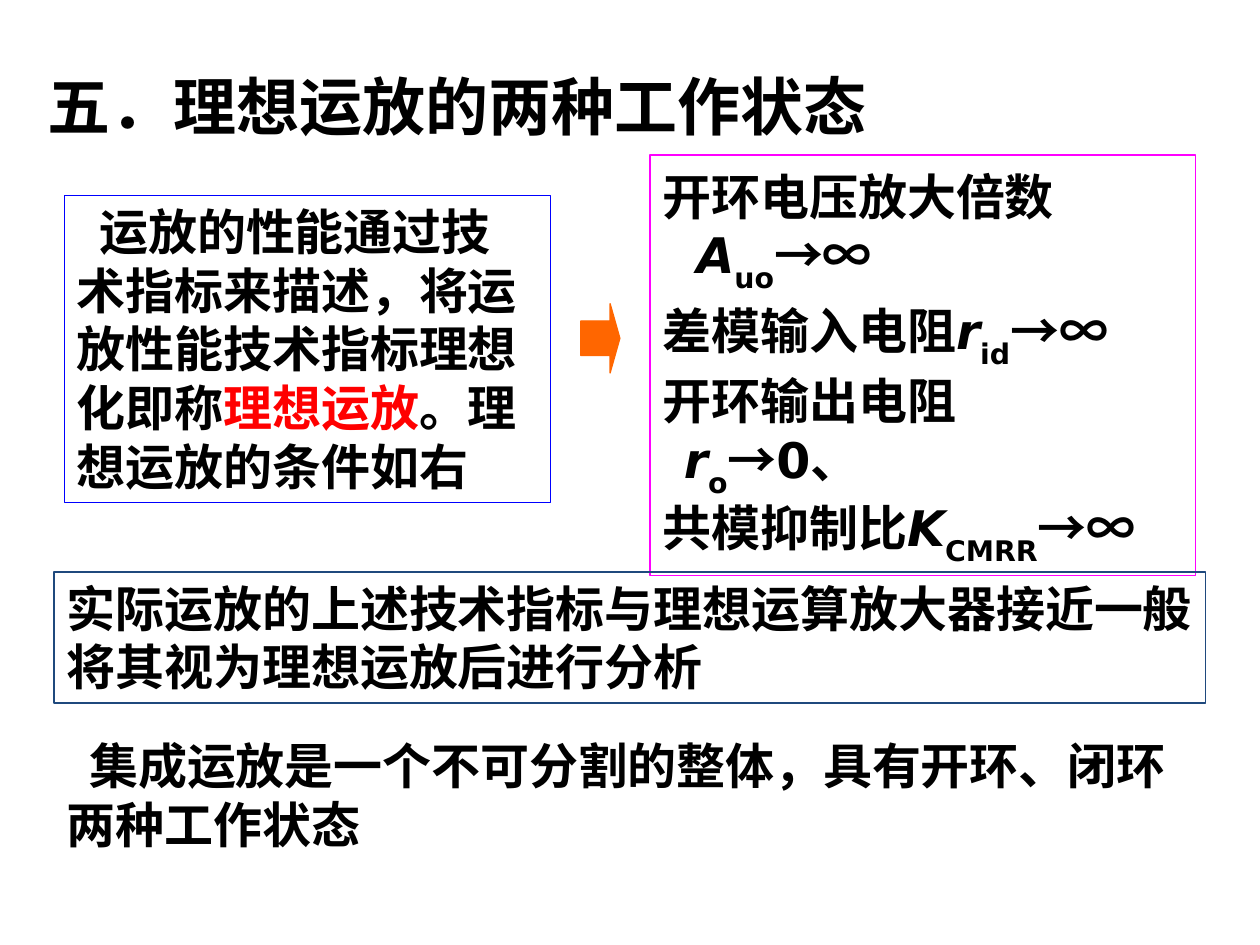
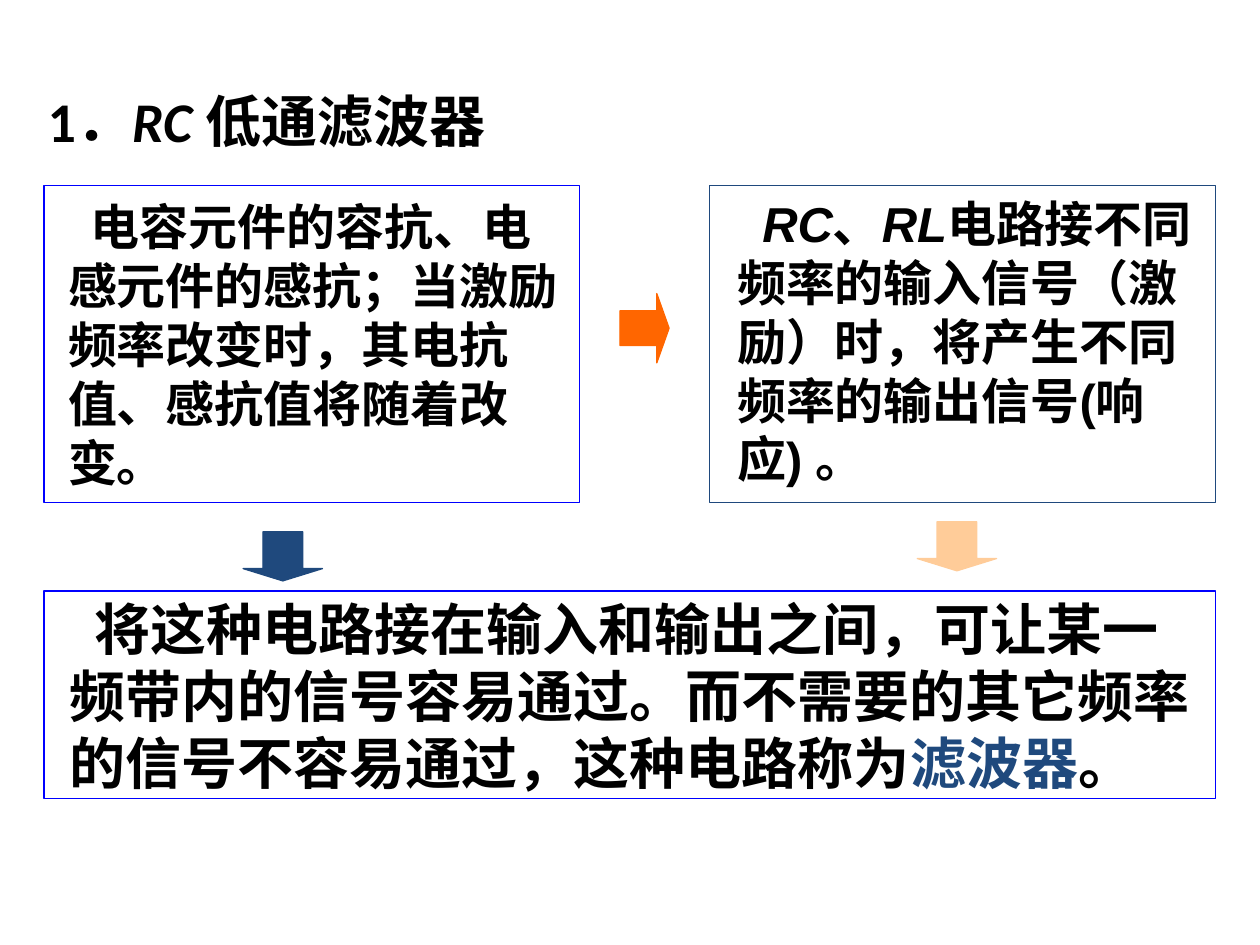
from dataclasses import dataclass

from lxml.etree import SubElement
from pptx import Presentation
from pptx.dml.color import RGBColor
from pptx.enum.shapes import MSO_SHAPE as Shape
from pptx.enum.text import MSO_ANCHOR as Anchor, PP_ALIGN as Align
from pptx.oxml.ns import qn
from pptx.util import Inches, Pt


@dataclass(frozen=True)
class Theme:
    black: str = "000000"
    red: str = "FF0000"
    blue: str = "0000FF"
    navy: str = "1F497D"
    magenta: str = "FF00FF"
    orange: str = "FF6600"
    peach: str = "FFCC99"
    body: int = 28
    large: int = 32
    heading: int = 36
    line_ratio: float = 1.2
    border: float = 0.75
    title_font: str = "Calibri"
    body_font: str = "Arial"
    symbol_font: str = "DejaVu Sans"
    chinese_font: str = "Noto Sans CJK SC"


THEME = Theme()
ITALIC = {"italic": True}
SYMBOL = {"name": THEME.symbol_font}
VARIABLE = {**SYMBOL, **ITALIC}
SUBSCRIPT = {**SYMBOL, "subscript": True}


def color(code):
    return RGBColor.from_string(code)


def add_span(para, text, formats):
    """Add a run; formats holds font attributes plus color and subscript."""
    span = para.add_run()
    span.text = text
    values = {"bold": True, "color": THEME.black, **formats}
    span.font.color.rgb = color(values.pop("color"))
    properties = span.font._element
    if values.pop("subscript", False):
        properties.set("baseline", "-30000")
    for name, value in values.items():
        setattr(span.font, name, value)
    SubElement(properties, qn("a:ea"), typeface=THEME.chinese_font)


def fill_para(para, spans, size, font, indent=0, **formats):
    """Fill a paragraph, keeping its punctuation inside the margins."""
    for name, value in formats.items():
        setattr(para, name, value)
    properties = para._p.get_or_add_pPr()
    properties.set("hangingPunct", "0")
    properties.set("marL", "0")
    properties.set("indent", str(Inches(indent)))
    for text, extra in spans:
        add_span(para, text, {"size": Pt(size), "name": font, **extra})


def set_frame(frame, anchor, left=0.1, right=0.1, top=0.05, bottom=0.05):
    formats = {
        "word_wrap": True,
        "vertical_anchor": anchor,
        "margin_left": Inches(left),
        "margin_right": Inches(right),
        "margin_top": Inches(top),
        "margin_bottom": Inches(bottom),
    }
    for name, value in formats.items():
        setattr(frame, name, value)


def add_title(page, top, spans, size):
    box = page.shapes.add_textbox(*map(Inches, (0.28, top, 9, 0.79)))
    set_frame(box.text_frame, Anchor.MIDDLE)
    fill_para(box.text_frame.paragraphs[0], spans, size, THEME.title_font)


def add_frame(page, place, border, anchor=Anchor.TOP, **margins):
    """Add an unfilled rectangle, with no outline if border is None."""
    box = page.shapes.add_shape(Shape.RECTANGLE, *map(Inches, place))
    box.shadow.inherit = False
    box.fill.background()
    if border:
        box.line.color.rgb = color(border)
        box.line.width = Pt(THEME.border)
    else:
        box.line.fill.background()
    set_frame(box.text_frame, anchor, **margins)
    return box.text_frame


def add_statement(page, place, border, spans, indent=0, size=THEME.body,
                  font=THEME.body_font, **layout):
    """Add a box that holds one paragraph."""
    frame = add_frame(page, place, border, **layout)
    fill_para(frame.paragraphs[0], spans, size, font, indent,
              alignment=Align.LEFT,
              line_spacing=Pt(size * THEME.line_ratio))


def add_arrow(page, kind, place, tone):
    arrow = page.shapes.add_shape(kind, *map(Inches, place))
    arrow.shadow.inherit = False
    arrow.adjustments[0], arrow.adjustments[1] = 0.5, 0.25
    arrow.fill.solid()
    arrow.fill.fore_color.rgb = arrow.line.color.rgb = color(tone)
    arrow.line.width = Pt(THEME.border)


def add_ideal_conditions(page, place):
    infinity = ("→∞", {})
    conditions = [  # line height, indent, spans
        (36.5, 0, [("开环电压放大倍数", {})]),
        (39.5, 0.27, [("A", VARIABLE), ("uo", SUBSCRIPT), infinity]),
        (43.5, 0, [("差模输入电阻", {}), ("r", VARIABLE),
                   ("id", SUBSCRIPT), infinity]),
        (33.5, 0, [("开环输出电阻", {})]),
        (40, 0.17, [("r", VARIABLE), ("o", SUBSCRIPT), ("→", {}),
                    ("0、", SYMBOL)]),
        (39, 0, [("共模抑制比", {}), ("K", VARIABLE),
                 ("CMRR", SUBSCRIPT), infinity]),
    ]
    frame = add_frame(page, place, THEME.magenta)
    for number, (height, indent, spans) in enumerate(conditions):
        para = frame.add_paragraph() if number else frame.paragraphs[0]
        fill_para(para, spans, THEME.body, THEME.chinese_font, indent,
                  alignment=Align.JUSTIFY, line_spacing=Pt(height))


def build_op_amp_page(page):
    add_title(page, 0.44, [("五．理想运放的两种工作状态", {})], THEME.heading)
    add_statement(page, (0.51, 1.55, 3.86, 2.44), THEME.blue, [
        ("运放的性能通过技术指标来描述，将运放性能技术指标理想化即称", {}),
        ("理想运放", {"color": THEME.red}),
        ("。理想运放的条件如右", {}),
    ], indent=0.18, font=THEME.chinese_font)
    add_arrow(page, Shape.RIGHT_ARROW, (4.61, 2.41, 0.31, 0.55), THEME.orange)
    add_ideal_conditions(page, (5.16, 1.23, 4.33, 3.34))

    left, width, height = 0.43, 9.14, 1.04
    add_statement(page, (left, 4.54, width, height), THEME.navy, [
        ("实际运放的上述技术指标与理想运算放大器接近一般"
         "将其视为理想运放后进行分析", {}),
    ], right=0.05)
    add_statement(page, (left, 5.79, width, height), None, [
        ("集成运放是一个不可分割的整体，具有开环、闭环两种工作状态", {}),
    ], indent=0.18)


def build_filter_page(page):
    add_title(page, 0.56, [("1．", {}), ("RC ", ITALIC), ("低通滤波器", {})],
              THEME.large)
    left, right, top, height = 0.35, 9.65, 1.47, 2.52
    add_statement(page, (left, top, 4.25, height), THEME.blue, [
        ("电容元件的容抗、电感元件的感抗；当激励频率改变时，"
         "其电抗值、感抗值将随着改变。", {}),
    ], indent=0.18, anchor=Anchor.MIDDLE, left=0.19)
    add_statement(page, (5.63, top, right - 5.63, height), THEME.navy, [
        ("RC", ITALIC), ("、", {}), ("RL", ITALIC),
        ("电路接不同频率的输入信号（激励）时，"
         "将产生不同频率的输出信号(响应) 。", {}),
    ], indent=0.2, anchor=Anchor.MIDDLE, left=0.22, bottom=0.1)
    add_statement(page, (left, 4.69, right - left, 1.65), THEME.blue, [
        ("将这种电路接在输入和输出之间，可让某一频带内的信号容易通过。"
         "而不需要的其它频率的信号不容易通过，这种电路称为", {}),
        ("滤波器", {"color": THEME.navy}),
        ("。", {}),
    ], indent=0.2, size=THEME.large, anchor=Anchor.MIDDLE, left=0.2)

    add_arrow(page, Shape.RIGHT_ARROW, (4.92, 2.33, 0.39, 0.55), THEME.orange)
    for x, y, tone in ((1.93, 4.22, THEME.navy), (7.28, 4.14, THEME.peach)):
        add_arrow(page, Shape.DOWN_ARROW, (x, y, 0.63, 0.39), tone)


def main():
    deck = Presentation()
    deck.slide_width, deck.slide_height = Inches(10), Inches(7.5)
    blank = deck.slide_layouts[6]
    for build in (build_op_amp_page, build_filter_page):
        build(deck.slides.add_slide(blank))
    deck.save("out.pptx")


if __name__ == "__main__":
    main()
